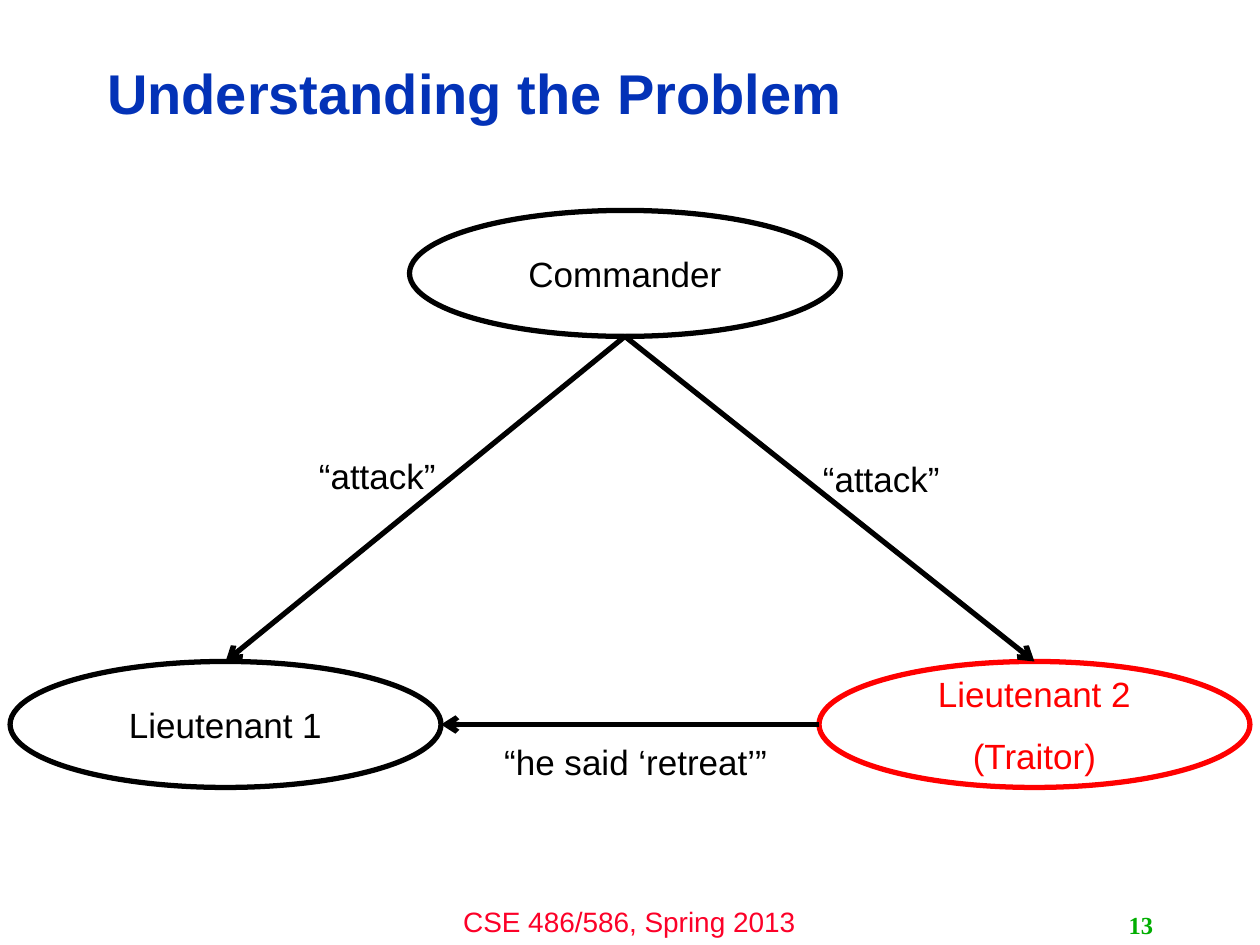
from lxml.etree import SubElement
from pptx import Presentation
from pptx.dml.color import RGBColor
from pptx.enum.shapes import MSO_CONNECTOR, MSO_SHAPE
from pptx.enum.text import MSO_ANCHOR, PP_ALIGN
from pptx.oxml.ns import qn
from pptx.util import Inches, Pt

BLACK, RED, WHITE = "000000", "FF0000", "FFFFFF"
NODE_WIDTH, NODE_HEIGHT = 3.42, 1


def color(value):
    return RGBColor.from_string(value)


def write(shape, text, *, size=20, ink=BLACK, font="Arial", bold=False,
          align=PP_ALIGN.CENTER, anchor=MSO_ANCHOR.TOP, spacing=None):
    """Fill a shape with text, one paragraph per line."""
    frame = shape.text_frame
    frame.word_wrap = True
    frame.vertical_anchor = anchor
    frame.text = text
    for index, para in enumerate(frame.paragraphs):
        para.alignment = align
        para.line_spacing = spacing
        if index:
            para.space_before = Pt(size * 0.55)
        para.font.size = Pt(size)
        para.font.name = font
        para.font.bold = bold
        para.font.color.rgb = color(ink)


def add_text(page, box, text, **style):
    label = page.shapes.add_textbox(*map(Inches, box))
    write(label, text, **style)


def add_title(page, box, text):
    title = page.shapes.title
    title.left, title.top, title.width, title.height = map(Inches, box)
    write(title, text, size=32, ink="0332B7", bold=True, align=PP_ALIGN.LEFT,
          anchor=MSO_ANCHOR.MIDDLE, spacing=0.9)


def add_node(page, left, top, text, ink=BLACK):
    node = page.shapes.add_shape(
        MSO_SHAPE.OVAL, *map(Inches, (left, top, NODE_WIDTH, NODE_HEIGHT)))
    node.shadow.inherit = False
    node.fill.solid()
    node.fill.fore_color.rgb = color(WHITE)
    node.line.color.rgb = color(ink)
    node.line.width = Pt(3)
    write(node, text, ink=ink, anchor=MSO_ANCHOR.MIDDLE)


def add_arrow(page, start, end):
    arrow = page.shapes.add_connector(
        MSO_CONNECTOR.STRAIGHT, *map(Inches, (*start, *end)))
    arrow.line.color.rgb = color(BLACK)
    arrow.line.width = Pt(3)
    SubElement(arrow.line._get_or_add_ln(), qn("a:tailEnd"), type="arrow")
    SubElement(arrow._element.spPr, qn("a:effectLst"))


def add_diagram(page, box):
    """Commander above, two lieutenants in the lower corners, and their messages."""
    left, top, width, height = box
    right_node = left + width - NODE_WIDTH
    lower = top + height - NODE_HEIGHT
    middle = lower + NODE_HEIGHT / 2
    center = left + width / 2 - 0.04
    add_node(page, center - NODE_WIDTH / 2, top, "Commander")
    add_node(page, left, lower, "Lieutenant 1")
    add_node(page, right_node, lower, "Lieutenant 2\n(Traitor)", RED)

    commander_bottom = (center, top + NODE_HEIGHT)
    for node_left in (left, right_node):
        add_arrow(page, commander_bottom, (node_left + NODE_WIDTH / 2, lower))
    add_arrow(page, (right_node, middle), (left + NODE_WIDTH, middle))

    add_text(page, (left + 2.25, top + 1.89, 1.33, 0.44), "“attack”")
    add_text(page, (left + 6.25, top + 1.91, 1.33, 0.44), "“attack”")
    add_text(page, (left + 3.59, middle + 0.08, 2.75, 0.44), "“he said ‘retreat’”")


def add_footer(page, box):
    left, top, width, height = box
    add_text(page, (left, top, width, height), "CSE 486/586, Spring 2013",
             size=16, ink="FC0128")
    add_text(page, (left + 3.84, top + 0.05, 2.08, 0.32), "13", size=14,
             ink="00AE00", font="Times New Roman", bold=True,
             align=PP_ALIGN.RIGHT, anchor=MSO_ANCHOR.MIDDLE)


def main():
    deck = Presentation()
    deck.slide_width, deck.slide_height = Inches(10), Inches(7.5)
    page = deck.slides.add_slide(deck.slide_layouts[5])
    page.background.fill.solid()
    page.background.fill.fore_color.rgb = color(WHITE)
    add_title(page, (0.75, 0.36, 7.98, 0.81), "Understanding the Problem")
    add_diagram(page, (0.08, 1.67, 9.84, 4.58))
    add_footer(page, (3.33, 7.13, 3.33, 0.37))
    deck.save("out.pptx")


if __name__ == "__main__":
    main()
